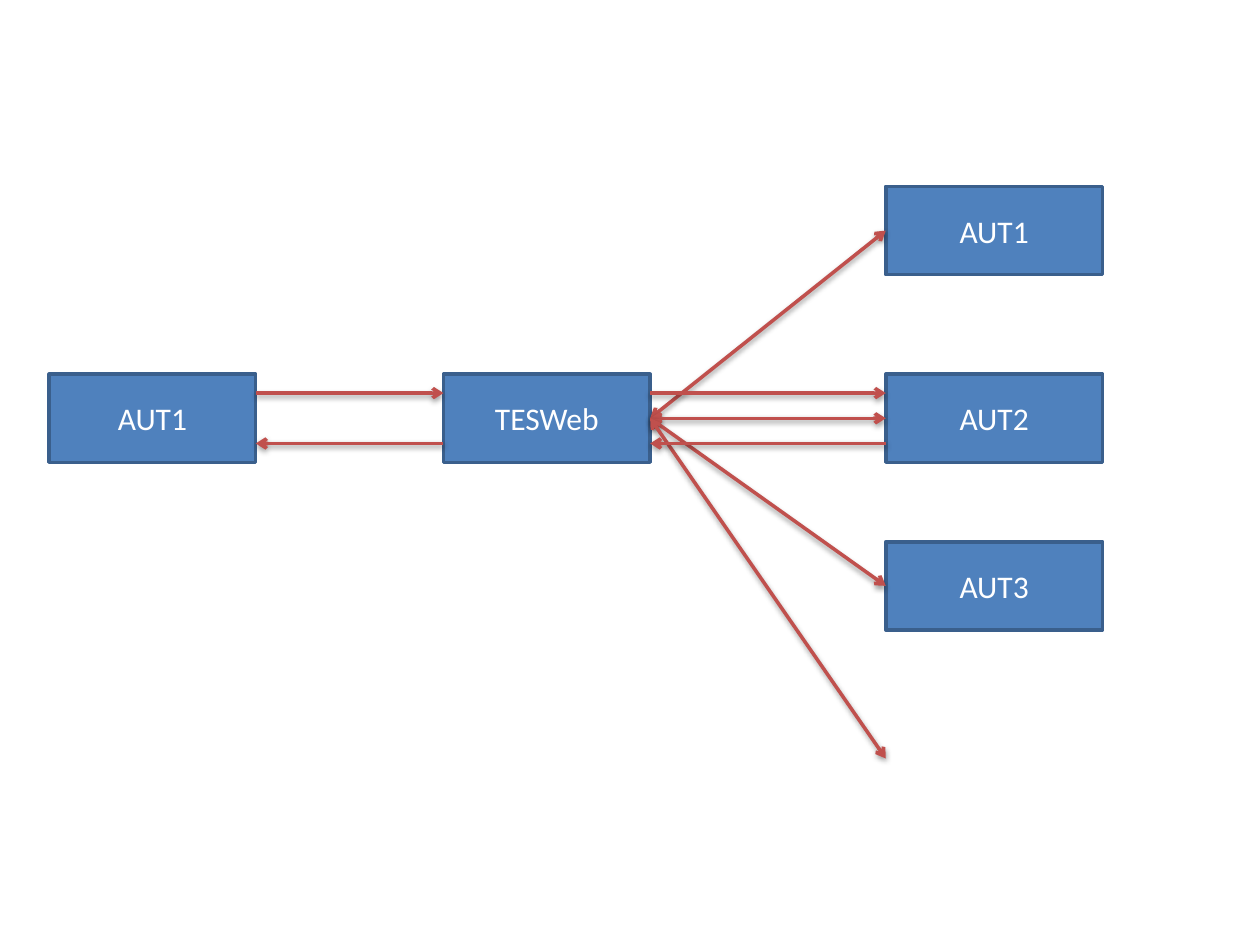
from lxml.etree import SubElement
from pptx import Presentation
from pptx.dml.color import RGBColor
from pptx.enum.shapes import MSO_CONNECTOR, MSO_SHAPE
from pptx.enum.text import MSO_ANCHOR, PP_ALIGN
from pptx.oxml.ns import qn
from pptx.util import Inches, Pt


def paint(color_format, hex_color):
    color_format.rgb = RGBColor.from_string(hex_color)


def write(frame, text, size=18, font="Calibri", color="FFFFFF", align=PP_ALIGN.CENTER):
    frame.word_wrap = True
    frame.vertical_anchor = MSO_ANCHOR.MIDDLE
    paragraph = frame.paragraphs[0]
    paragraph.alignment = align
    run = paragraph.add_run()
    run.text = text
    run.font.size = Pt(size)
    run.font.name = font
    paint(run.font.color, color)


presentation = Presentation()
presentation.slide_width = Inches(10)
presentation.slide_height = Inches(7.5)
slide = presentation.slides.add_slide(presentation.slide_layouts[6])

box_height = 0.7
client_left, hub_left, target_left = 0.39, 3.52, 7.03
side_width, target_width = 1.64, 1.72
client_right = client_left + side_width
hub_right = hub_left + side_width
middle_top = 2.97
middle = middle_top + box_height / 2
request_y, reply_y = middle - 0.2, middle + 0.2
target_tops = [1.48, middle_top, 4.3]

# Boxes: left, top, width, label
boxes = [
    (client_left, middle_top, side_width, "AUT1"),
    (hub_left, middle_top, side_width, "TESWeb"),
]
for number, top in enumerate(target_tops, start=1):
    boxes.append((target_left, top, target_width, f"AUT{number}"))

for left, top, width, label in boxes:
    box = slide.shapes.add_shape(
        MSO_SHAPE.RECTANGLE, Inches(left), Inches(top), Inches(width), Inches(box_height)
    )
    box.shadow.inherit = False
    box.fill.solid()
    paint(box.fill.fore_color, "4F81BD")
    paint(box.line.color, "3A5F8C")
    box.line.width = Pt(2)
    write(box.text_frame, label)

# Arrows: start x, start y, end x, end y, arrowheads
target_middles = [top + box_height / 2 for top in target_tops]
arrows = [
    (hub_right, middle, target_left, end_y, ("headEnd", "tailEnd"))
    for end_y in target_middles + [6.02]
]
for left, right in [(client_right, hub_left), (hub_right, target_left)]:
    arrows.append((left, request_y, right, request_y, ("tailEnd",)))
    arrows.append((right, reply_y, left, reply_y, ("tailEnd",)))

for start_x, start_y, end_x, end_y, arrowheads in arrows:
    arrow = slide.shapes.add_connector(
        MSO_CONNECTOR.STRAIGHT, Inches(start_x), Inches(start_y), Inches(end_x), Inches(end_y)
    )
    paint(arrow.line.color, "C0504D")
    arrow.line.width = Pt(2)
    properties = arrow._element.spPr
    outline = properties.find(qn("a:ln"))
    for arrowhead in arrowheads:
        SubElement(outline, qn(f"a:{arrowhead}"), type="arrow")
    effects = SubElement(properties, qn("a:effectLst"))
    shadow = SubElement(
        effects, qn("a:outerShdw"),
        blurRad="40000", dist="20000", dir="5400000", rotWithShape="0",
    )
    shadow_color = SubElement(shadow, qn("a:srgbClr"), val="000000")
    SubElement(shadow_color, qn("a:alpha"), val="38000")

presentation.save("out.pptx")
